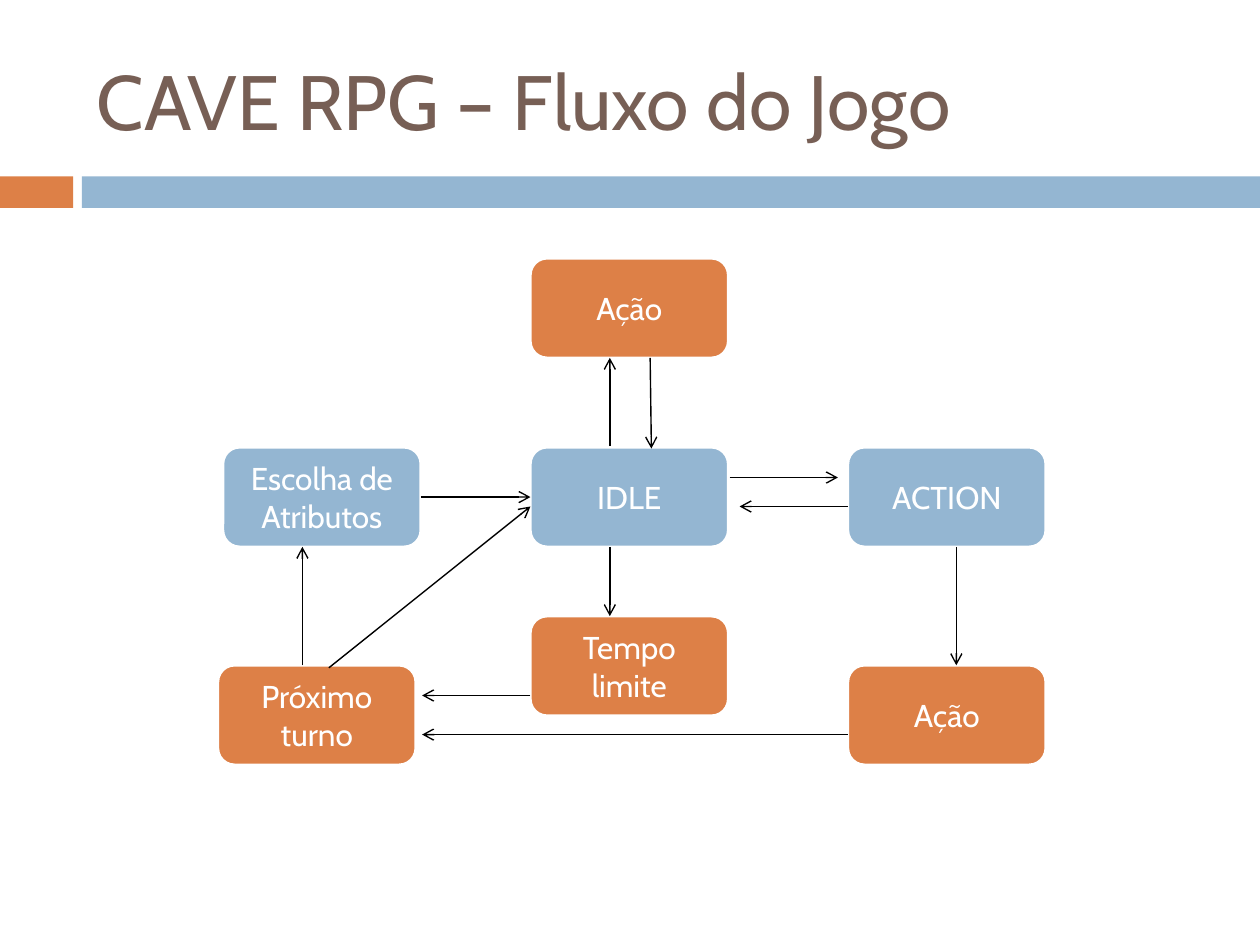
from lxml import etree
from pptx import Presentation
from pptx.dml.color import RGBColor
from pptx.enum.shapes import MSO_CONNECTOR, MSO_SHAPE
from pptx.enum.text import MSO_ANCHOR, PP_ALIGN
from pptx.oxml.ns import qn
from pptx.util import Inches, Pt

RECT, ROUND = MSO_SHAPE.RECTANGLE, MSO_SHAPE.ROUNDED_RECTANGLE
LINE = MSO_CONNECTOR.STRAIGHT
MIDDLE, CENTER = MSO_ANCHOR.MIDDLE, PP_ALIGN.CENTER
FONT = "Cabin"
COLORS = {"orange": "DD8047", "blue": "94B6D2", "brown": "775F55",
          "white": "FFFFFF", "black": "000000"}
LEFT, RIGHT = 1, 3


def paint(kind, x, y, w, h, color):
    """Add a filled shape without shadow or outline."""
    shape = slide.shapes.add_shape(kind, Inches(x), Inches(y), Inches(w), Inches(h))
    shape.shadow.inherit = False
    shape.fill.solid()
    shape.fill.fore_color.rgb = RGBColor.from_string(COLORS[color])
    shape.line.fill.background()
    return shape


def write(shape, text, size, color):
    frame = shape.text_frame
    frame.word_wrap = True
    frame.vertical_anchor = MIDDLE
    para = frame.paragraphs[0]
    para.text = text
    para.font.name = FONT
    para.font.size = Pt(size)
    para.font.color.rgb = RGBColor.from_string(COLORS[color])
    return para


prs = Presentation()
prs.slide_width, prs.slide_height = Inches(10), Inches(7.5)
slide = prs.slides.add_slide(prs.slide_layouts[6])

# Title and band
paint(RECT, 0, 1.4, 0.58, 0.25, "orange")
paint(RECT, 0.65, 1.4, 9.35, 0.25, "blue")
title = slide.shapes.add_textbox(Inches(0.67), Inches(0.25), Inches(8.92), Inches(1.08))
write(title, "CAVE RPG – Fluxo do Jogo", 44, "brown")

# States (blue) and events (orange)
WIDTH, HEIGHT = 1.57, 0.79
MID, EAST = 4.21, 6.73
TOP, ROW, LOW = 2.05, 3.55, 5.28
nodes = {}
for key, text, x, y, color in [
    ("setup", "Escolha de Atributos", 1.77, ROW, "blue"),
    ("act", "Ação", EAST, LOW, "orange"),
    ("limit", "Tempo limite", MID, 4.89, "orange"),
    ("turn", "Próximo turno", 1.73, LOW, "orange"),
    ("idle", "IDLE", MID, ROW, "blue"),
    ("top", "Ação", MID, TOP, "orange"),
    ("action", "ACTION", EAST, ROW, "blue"),
]:
    node = paint(ROUND, x, y, WIDTH, HEIGHT, color)
    node.line.color.rgb = RGBColor.from_string(COLORS["white"])
    node.line.width = Pt(1.5)
    write(node, text, 18, "white").alignment = CENTER
    nodes[key] = node

# Flow arrows; the first one joins two side centres
BASE = ROW + HEIGHT
flows = [
    (3.34, 3.94, MID, 3.94),
    (5.79, 3.79, 6.65, 3.79),
    (EAST, 4.02, 5.87, 4.02),
    (4.84, 3.54, 4.84, 2.84),
    (5.16, 2.84, 5.17, 3.56),
    (7.59, BASE, 7.59, LOW),
    (EAST, 5.83, 3.35, 5.83),
    (MID, 5.52, 3.35, 5.52),
    (4.84, BASE, 4.84, 4.89),
    (2.4, LOW, 2.4, BASE),
    (2.61, 5.3, MID, 4.02),
]
arrows = []
for flow in flows:
    arrow = slide.shapes.add_connector(LINE, *[Inches(v) for v in flow])
    arrow.line.color.rgb = RGBColor.from_string(COLORS["black"])
    arrow.line.width = Pt(0.79)
    etree.SubElement(arrow.line._get_or_add_ln(), qn("a:tailEnd"), type="arrow")
    etree.SubElement(arrow._element.spPr, qn("a:effectLst"))
    arrows.append(arrow)
arrows[0].begin_connect(nodes["setup"], RIGHT)
arrows[0].end_connect(nodes["idle"], LEFT)

prs.save("out.pptx")
